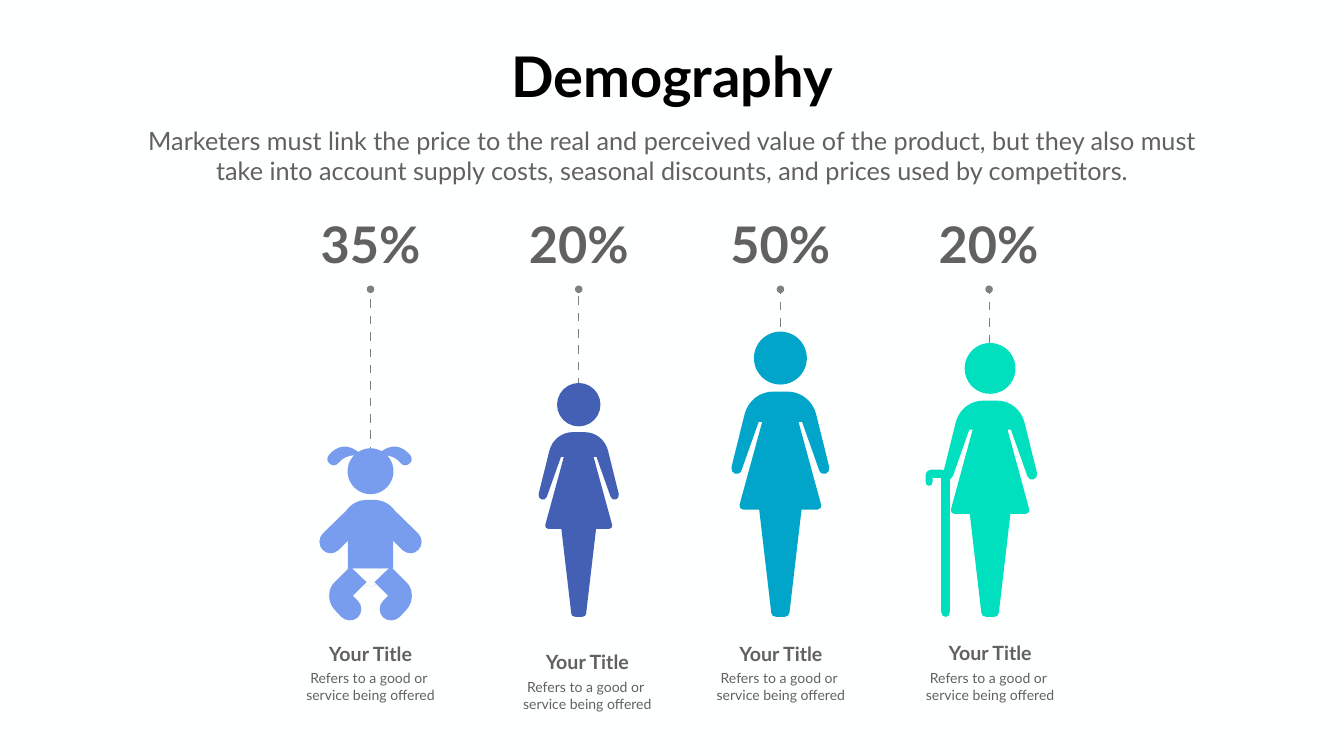
import pptx
import pptx.dml.color
import pptx.enum.shapes
import pptx.enum.text
import pptx.oxml
import pptx.oxml.ns
import pptx.util

Inches = pptx.util.Inches
hex_color = pptx.dml.color.RGBColor.from_string
qualified = pptx.oxml.ns.qn

deck = pptx.Presentation()
deck.slide_width = Inches(26.66)
deck.slide_height = Inches(15)
page = deck.slides.add_slide(deck.slide_layouts[0])
page.background.fill.solid()
page.background.fill.fore_color.rgb = hex_color("FEFFFF")
painted = []


def add_text(text, left, top, width, height, size, color="616161", bold=False, box=None):
    if box is None:
        box = page.shapes.add_textbox(0, 0, 0, 0)
    box.left, box.top = Inches(left), Inches(top)
    box.width, box.height = Inches(width), Inches(height)
    frame = box.text_frame
    frame.word_wrap = True
    frame.auto_size = pptx.enum.text.MSO_AUTO_SIZE.NONE
    frame.vertical_anchor = pptx.enum.text.MSO_ANCHOR.TOP
    frame.text = text
    for para in frame.paragraphs:
        para.alignment = pptx.enum.text.PP_ALIGN.CENTER
        para.space_before = pptx.util.Pt(0)
        for span in para.runs:
            span.font.name = "Lato"
            span.font.size = pptx.util.Pt(size)
            span.font.bold = bold
            span.font.color.rgb = hex_color(color)


def draw_outline(segments, color, center, base=0, scale=1, side=1, mirrored=False):
    points = [pair for segment in segments for pair in zip(segment[::2], segment[1::2])]
    lengths = [len(segment) // 2 for segment in segments[1:]]
    if mirrored:
        points += [(-x, y) for x, y in reversed(points)]
        lengths += [1] + lengths[::-1]
    corners = [(Inches(center + side * scale * x), Inches(base + scale * y)) for x, y in points]
    builder = page.shapes.build_freeform(*corners[0], scale=1.0)
    builder.add_line_segments(corners[1:], close=True)
    shape = builder.convert_to_shape()
    lines = iter(list(shape._element.iter(qualified("a:lnTo"))))
    for length in lengths:
        group = [next(lines) for _ in range(length)]
        if length == 3:
            group[0].tag = qualified("a:cubicBezTo")
            for line in group[1:]:
                group[0].append(line[0])
                line.getparent().remove(line)
    painted.append((shape, color))


add_text("Demography", 9.97, 0.78, 6.72, 1.45, size=80, color="000000", bold=True,
         box=page.shapes.title)
add_text("Marketers must link the price to the real and perceived value of the product, "
         "but they also must take into account supply costs, seasonal discounts, "
         "and prices used by competitors.",
         2.68, 2.44, 21.3, 1.31, size=36, box=page.placeholders[1])

dash_end = 5.72
people = [
    ("35%", 7.35, 4.18, 7.35, 7.35, 13.24, 9.36, 1),
    ("20%", 11.48, 4.18, 11.48, 11.65, 13.41, 8, 0),
    ("50%", 15.48, 4.18, 15.48, 15.49, 13.24, 7.46, 2),
    ("20%", 19.61, 4.17, 19.62, 19.64, 13.23, 7.46, 2),
]
circles = [(7.35, 9.35, 0.91, "799DEE")]
for share, share_x, share_top, line_x, caption_x, caption_top, bottom, dark_count in people:
    index = 0
    while bottom > dash_end + 0.01:
        top = max(bottom - 0.17, dash_end)
        dash = page.shapes.add_connector(
            pptx.enum.shapes.MSO_CONNECTOR.STRAIGHT,
            Inches(line_x), Inches(bottom), Inches(line_x), Inches(top))
        dark = index < dark_count or top == dash_end
        dash.line.color.rgb = hex_color("606060" if dark else "808080")
        dash.line.width = pptx.util.Pt(1.02)
        properties = dash._element.find(qualified("p:spPr"))
        properties.append(pptx.oxml.parse_xml(
            '<a:effectLst xmlns:a="http://schemas.openxmlformats.org/drawingml/2006/main"/>'))
        bottom -= 0.325
        index += 1
    circles.append((line_x, 5.74, 0.15, "808080"))
    add_text(share, share_x - 1.28, share_top, 2.56, 1.31, size=72, bold=True)
    add_text("Your Title", caption_x - 0.965, caption_top - 0.56, 1.93, 0.57, size=28, bold=True)
    add_text("Refers to a good or \nservice being offered",
             caption_x - 1.44, caption_top, 2.88, 0.77, size=20)

cane = [
    (18.68, 9.32), (18.48, 9.32), (18.41, 9.32, 18.36, 9.37, 18.36, 9.44), (18.36, 9.56),
    (18.36, 9.61, 18.39, 9.64, 18.43, 9.64), (18.47, 9.64, 18.5, 9.61, 18.5, 9.56),
    (18.5, 9.48), (18.67, 9.48), (18.67, 12.14), (18.67, 12.2, 18.71, 12.24, 18.76, 12.24),
    (18.81, 12.24, 18.84, 12.2, 18.84, 12.14), (18.84, 9.48),
    (18.84, 9.39, 18.77, 9.32, 18.68, 9.32),
]
draw_outline(cane, "00DFBE", center=0)

woman_half = [
    (0.14, -4.47), (0.41, -4.47, 0.64, -4.29, 0.71, -4.02), (0.97, -2.97),
    (0.98, -2.91, 0.95, -2.86, 0.9, -2.84), (0.85, -2.82, 0.79, -2.85, 0.77, -2.91),
    (0.43, -3.87), (0.36, -3.87), (0.81, -2.22), (0.82, -2.18, 0.79, -2.13, 0.74, -2.13),
    (0.42, -2.13), (0.18, -0.08), (0.18, -0.04, 0.14, 0, 0.08, 0),
]
ground = 12.24
for center, scale, color in [(11.48, 0.82, "4460B4"), (15.48, 1, "00A5C9"),
                             (19.64, 0.96, "00DFBE")]:
    draw_outline(woman_half, color, center, base=ground, scale=scale, mirrored=True)
    circles.append((center, ground - 5.135 * scale, 1.05 * scale, color))

baby_center = 7.35
baby_half = [
    (0.08, 9.92), (0.24, 9.92, 0.39, 10, 0.48, 10.13), (0.95, 10.59),
    (1.03, 10.67, 1.04, 10.82, 0.95, 10.91), (0.87, 11, 0.73, 11, 0.64, 10.92),
    (0.45, 10.73), (0.45, 11.28),
]
diaper_loop = [
    (-0.16, 11.56), (-0.46, 11.27), (0.45, 11.27), (0.15, 11.56),
    (0.06, 11.66, -0.07, 11.66, -0.16, 11.56),
]
leg = [
    (0.08, 11.55), (0.4, 11.24), (0.72, 11.56), (0.79, 11.63, 0.82, 11.72, 0.82, 11.82),
    (0.82, 11.91, 0.79, 12.01, 0.72, 12.09), (0.58, 12.24),
    (0.49, 12.33, 0.34, 12.33, 0.25, 12.25), (0.16, 12.16, 0.16, 12.01, 0.25, 11.92),
    (0.35, 11.82),
]
pigtail = [
    (0.15, 9.04), (0.15, 9.04, 0.46, 8.65, 0.8, 9.02),
    (0.85, 9.08, 0.85, 9.16, 0.79, 9.2), (0.74, 9.25, 0.66, 9.24, 0.62, 9.19),
    (0.55, 9.1, 0.4, 9, 0.15, 9.04),
]
draw_outline(baby_half, "799DEE", baby_center, mirrored=True)
draw_outline(diaper_loop + diaper_loop[1:], "799DEE", baby_center)
for side in (-1, 1):
    draw_outline(leg, "799DEE", baby_center, side=side)
    draw_outline(pigtail, "799DEE", center=7.33, side=side)

for center_x, center_y, size, color in circles:
    circle = page.shapes.add_shape(
        pptx.enum.shapes.MSO_SHAPE.OVAL, Inches(center_x - size / 2),
        Inches(center_y - size / 2), Inches(size), Inches(size))
    painted.append((circle, color))

for shape, color in painted:
    shape.shadow.inherit = False
    shape.fill.solid()
    shape.fill.fore_color.rgb = hex_color(color)
    shape.line.fill.background()

deck.save("out.pptx")
